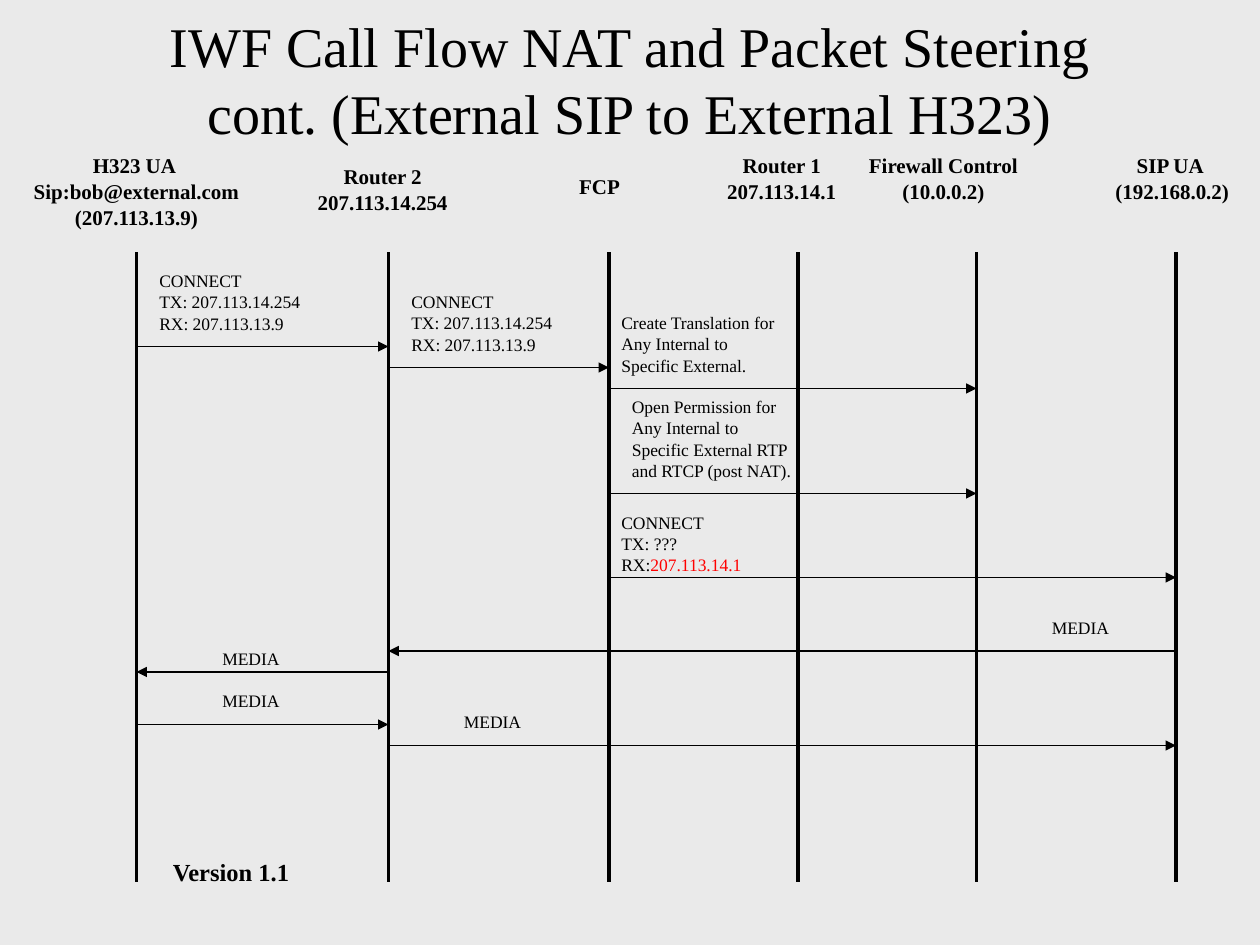
from lxml.etree import SubElement
from pptx import Presentation
from pptx.dml.color import RGBColor
from pptx.enum.shapes import MSO_CONNECTOR
from pptx.enum.text import MSO_ANCHOR, MSO_AUTO_SIZE, PP_ALIGN
from pptx.oxml.ns import qn
from pptx.util import Inches, Pt

BLACK = RGBColor(0x00, 0x00, 0x00)
RED = RGBColor(0xFF, 0x00, 0x00)
GREY = RGBColor(0xEA, 0xEA, 0xEA)
FONT = "Times New Roman"
CELL = Inches(1) / 12  # the slide is a grid of 120 columns by 90 rows

# Columns of the lifelines
H323, ROUTER_2, FCP, ROUTER_1, FIREWALL, SIP = 13, 37, 58, 76, 93, 112
LIFELINE_ROWS = 24, 84

# left column, top row, width in columns, text
HEADINGS = [
    (2, 15, 22, "H323 UA \nSip:bob@external.com\n(207.113.13.9)"),
    (29, 16, 14.9, "Router 2\n207.113.14.254"),
    (53, 17, 8.2, "FCP"),
    (68, 15, 12.9, "Router 1\n207.113.14.1"),
    (81.5, 15, 16.7, "Firewall Control\n(10.0.0.2)"),
    (105, 15, 13.3, "SIP UA \n(192.168.0.2)"),
]
CONNECT = "CONNECT\nTX: 207.113.14.254\nRX: 207.113.13.9"
TRANSLATION = "Create Translation for\nAny Internal to\nSpecific External."
PERMISSION = "Open Permission for\nAny Internal to\nSpecific External RTP\nand RTCP (post NAT)."

# sender, receiver, arrow row, then label: left column, top row, width, text, red ending
MESSAGES = [
    (H323, ROUTER_2, 33, 14, 26, 15.9, CONNECT, ""),
    (ROUTER_2, FCP, 35, 38, 28, 15.9, CONNECT, ""),
    (FCP, FIREWALL, 37, 58, 30, 18, TRANSLATION, ""),
    (FCP, FIREWALL, 47, 59, 38, 18, PERMISSION, ""),
    (FCP, SIP, 55, 58, 49, 13.9, "CONNECT\nTX: ???\nRX:", "207.113.14.1"),
    (SIP, ROUTER_2, 62, 99, 59, 7.9, "MEDIA", ""),
    (ROUTER_2, H323, 64, 20, 62, 7.9, "MEDIA", ""),
    (H323, ROUTER_2, 69, 20, 66, 7.9, "MEDIA", ""),
    (ROUTER_2, SIP, 71, 43, 68, 7.9, "MEDIA", ""),
]


def grid(*lengths):
    return [round(length * CELL) for length in lengths]


def add_text(page, area, text, size, bold=False, align=PP_ALIGN.CENTER, wrap=True):
    box = page.shapes.add_textbox(*grid(*area))
    frame = box.text_frame
    frame.text = text
    frame.word_wrap = wrap
    frame.auto_size = MSO_AUTO_SIZE.NONE
    for para in frame.paragraphs:
        para.alignment = align
        for span in para.runs:
            span.font.name = FONT
            span.font.size = Pt(size)
            span.font.bold = bold
            span.font.color.rgb = BLACK
    return frame


def add_tight_text(page, left, top, width, text, size, gap, **style):
    """Add lines set at half spacing, parted by a gap in points."""
    lines = text.count("\n") + 1
    height = (7.2 + lines * size * 0.575 + (lines - 1) * gap) / 6
    frame = add_text(page, (left, top, width, height), text, size, **style)
    frame.auto_size = MSO_AUTO_SIZE.SHAPE_TO_FIT_TEXT
    for number, para in enumerate(frame.paragraphs):
        para.line_spacing = 0.5
        para.space_before = Pt(gap if number else 0)
    return frame


def add_line(page, start, end, weight):
    line = page.shapes.add_connector(MSO_CONNECTOR.STRAIGHT, *grid(*start, *end))
    line.line.color.rgb = BLACK
    line.line.width = Pt(weight)
    SubElement(line._element.spPr, qn("a:effectLst"))
    return line


def add_lifelines(page, columns, rows):
    top, bottom = rows
    for column in columns:
        add_line(page, (column, top), (column, bottom), 2.25)


def add_headings(page):
    for left, top, width, text in HEADINGS:
        add_tight_text(page, left, top, width, text, 12, 7.5, bold=True, wrap=False)


def add_message(page, sender, receiver, row, left, top, width, text, red_ending):
    arrow = add_line(page, (sender, row), (receiver, row), 0.75)
    SubElement(arrow.line._get_or_add_ln(), qn("a:tailEnd"), type="triangle")
    frame = add_tight_text(page, left, top, width, text, 10, 6.2,
                           align=PP_ALIGN.LEFT, wrap=width == 18)
    if red_ending:
        span = frame.paragraphs[-1].add_run()
        span.text = red_ending
        span.font.name = FONT
        span.font.size = Pt(10)
        span.font.color.rgb = RED


def main():
    deck = Presentation()
    deck.slide_width, deck.slide_height = grid(120, 90)
    page = deck.slides.add_slide(deck.slide_layouts[6])
    page.background.fill.solid()
    page.background.fill.fore_color.rgb = GREY

    title = add_text(page, (0, 0, 120, 15), "IWF Call Flow NAT and Packet Steering\v"
                     "cont. (External SIP to External H323)", 32)
    title.vertical_anchor = MSO_ANCHOR.MIDDLE
    add_lifelines(page, (H323, ROUTER_2, FCP, ROUTER_1, FIREWALL, SIP), LIFELINE_ROWS)
    add_headings(page)
    for message in MESSAGES:
        add_message(page, *message)
    add_text(page, (3, 81, 38, 6), "Version 1.1", 14, bold=True)
    deck.save("out.pptx")


if __name__ == "__main__":
    main()
